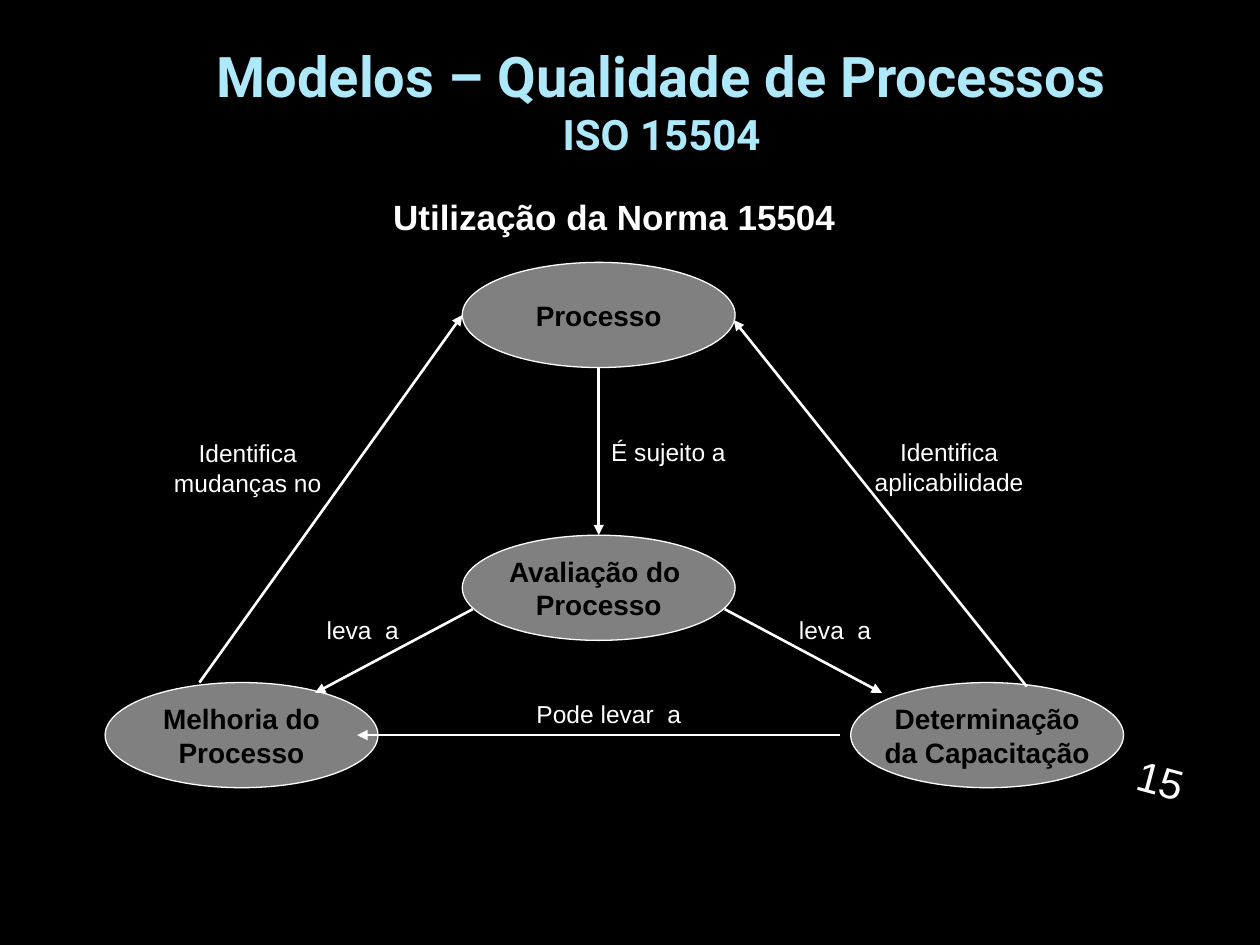
from lxml import etree
from pptx import Presentation
from pptx.dml.color import RGBColor
from pptx.enum.shapes import MSO_CONNECTOR, MSO_SHAPE
from pptx.enum.text import MSO_ANCHOR, PP_ALIGN
from pptx.oxml.ns import qn
from pptx.util import Cm, Pt

STRAIGHT = MSO_CONNECTOR.STRAIGHT
OVAL = MSO_SHAPE.OVAL
TOP, MIDDLE = MSO_ANCHOR.TOP, MSO_ANCHOR.MIDDLE
LEFT, CENTER = PP_ALIGN.LEFT, PP_ALIGN.CENTER

COLORS = {"bg": "000000", "title": "AEE8FB", "text": "FFFFFF",
          "node": "808080", "node_text": "000000"}
NODE_W, NODE_H = 5.5, 2.12
LABEL_H = 0.85

NODES = [
    ("Processo", 7.2, 0),
    ("Avaliação do \nProcesso", 7.2, 5.5),
    ("Determinação\nda Capacitação", 15.03, 8.47),
    ("Melhoria do\nProcesso", 0, 8.47),
]
ARROWS = [
    (9.95, 2.12, 9.95, 5.5),
    (12.49, 6.99, 15.66, 8.68),
    (7.41, 6.99, 4.23, 8.68),
    (1.9, 8.47, 7.2, 1.06),
    (18.58, 8.55, 12.67, 1.16),
    (14.82, 9.53, 5.08, 9.53),
]
LABELS = [
    ("Identifica mudanças no", 1.06, 3.42, 3.63, CENTER),
    ("Identifica aplicabilidade", 15.2, 3.4, 3.63, CENTER),
    ("É sujeito a", 9.95, 3.4, 2.97, LEFT),
    ("leva  a", 4.03, 6.99, 2.33, CENTER),
    ("leva  a", 13.55, 6.99, 2.33, CENTER),
    ("Pode levar  a", 8.25, 8.68, 3.81, CENTER),
]


def rgb(name):
    """Return the named colour."""
    return RGBColor.from_string(COLORS[name])


def write(tf, text, sizes=(14,), font="Arial", color="text", bold=False,
          align=CENTER, anchor=TOP, wrap=True):
    """Write lines into a text frame; the last size serves all further lines."""
    tf.word_wrap = wrap
    tf.vertical_anchor = anchor
    p = tf.paragraphs[0]
    p.alignment = align
    for i, line in enumerate(text.split("\n")):
        if i:
            p.add_line_break()
        r = p.add_run()
        r.text = line
        r.font.size = Pt(sizes[min(i, len(sizes) - 1)])
        r.font.name = font
        r.font.bold = bold
        r.font.color.rgb = rgb(color)


def add_text(slide, text, x, y, w, h, **fmt):
    """Add a text box and return it."""
    s = slide.shapes.add_textbox(Cm(x), Cm(y), Cm(w), Cm(h))
    write(s.text_frame, text, **fmt)
    return s


def add_node(slide, text, x, y):
    """Add one grey ellipse of the diagram."""
    s = slide.shapes.add_shape(OVAL, Cm(x), Cm(y), Cm(NODE_W), Cm(NODE_H))
    s.shadow.inherit = False
    s.fill.solid()
    s.fill.fore_color.rgb = rgb("node")
    s.line.color.rgb = rgb("text")
    s.line.width = Pt(0.75)
    write(s.text_frame, text, sizes=(16,), color="node_text", bold=True,
          anchor=MIDDLE, wrap=False)


def add_arrow(slide, x1, y1, x2, y2):
    """Add a straight line with an arrowhead at its end."""
    s = slide.shapes.add_connector(STRAIGHT, Cm(x1), Cm(y1), Cm(x2), Cm(y2))
    s.line.color.rgb = rgb("text")
    s.line.width = Pt(1.5)
    etree.SubElement(s.line._get_or_add_ln(), qn("a:tailEnd"), type="triangle")
    etree.SubElement(s._element.spPr, qn("a:effectLst"))


def add_header(slide, x, y, w, h):
    """Add the two-line slide title."""
    add_text(slide, "Modelos – Qualidade de Processos\nISO 15504", x, y, w, h,
             sizes=(32, 24), font="Roboto", color="title", bold=True,
             anchor=MIDDLE)


def add_diagram(slide, x, y):
    """Add the heading, ellipses, arrows and labels of the process cycle."""
    for text, dx, dy in NODES:
        add_node(slide, text, x + dx, y + dy)
    for x1, y1, x2, y2 in ARROWS:
        add_arrow(slide, x + x1, y + y1, x + x2, y + y2)
    for text, dx, dy, w, align in LABELS:
        add_text(slide, text, x + dx, y + dy, w, LABEL_H, align=align)
    add_text(slide, "Utilização da Norma 15504", x + 5.5, y - 1.48, 9.53, 1.09,
             sizes=(20,), bold=True)


def add_page_number(slide, x, y, w, h):
    """Add the tilted page number."""
    s = add_text(slide, "15", x, y, w, h, sizes=(24,), align=LEFT,
                 anchor=MIDDLE)
    s.rotation = 15


def main():
    """Build and save the slide."""
    prs = Presentation()
    prs.slide_width, prs.slide_height = Cm(25.4), Cm(19.05)
    slide = prs.slides.add_slide(prs.slide_layouts[6])
    slide.background.fill.solid()
    slide.background.fill.fore_color.rgb = rgb("bg")
    add_header(slide, 1.91, 0.43, 22.86, 3.18)
    add_diagram(slide, 2.12, 5.29)
    add_page_number(slide, 22.68, 15.27, 1.98, 1.02)
    prs.save("out.pptx")


if __name__ == "__main__":
    main()
